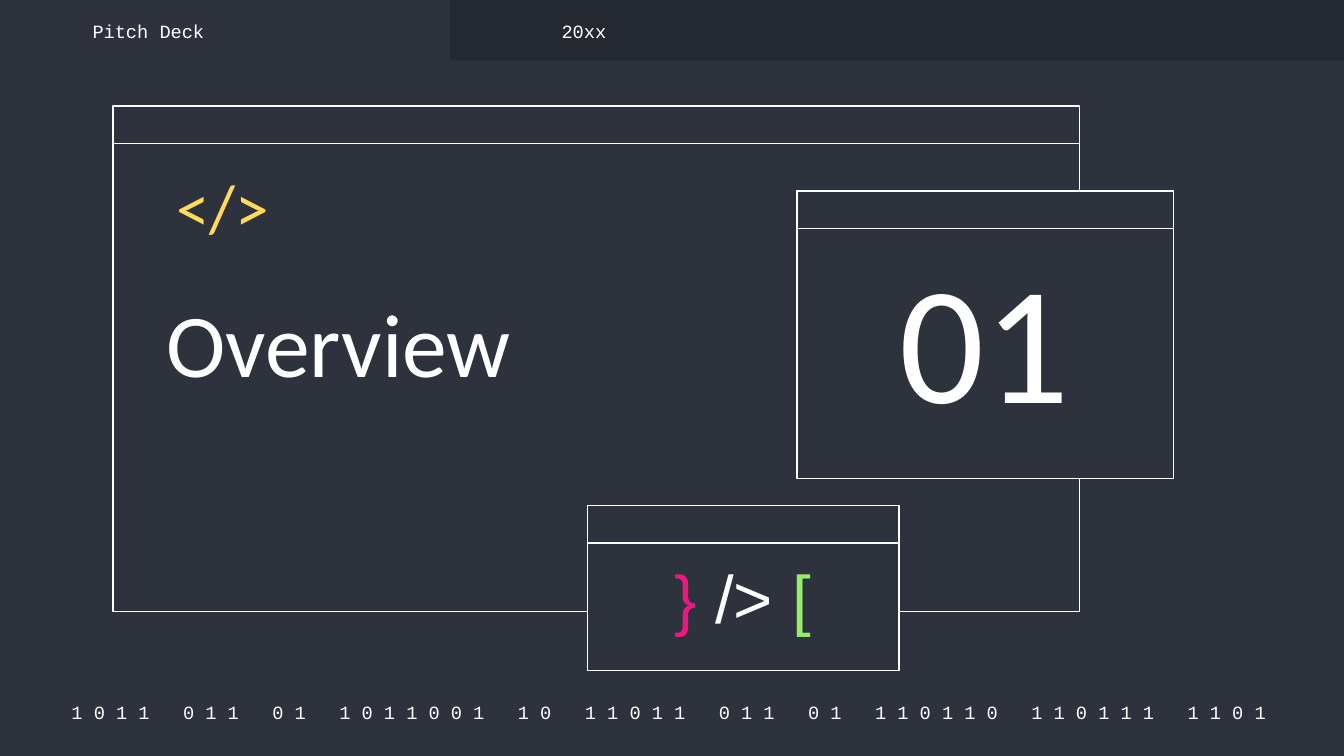
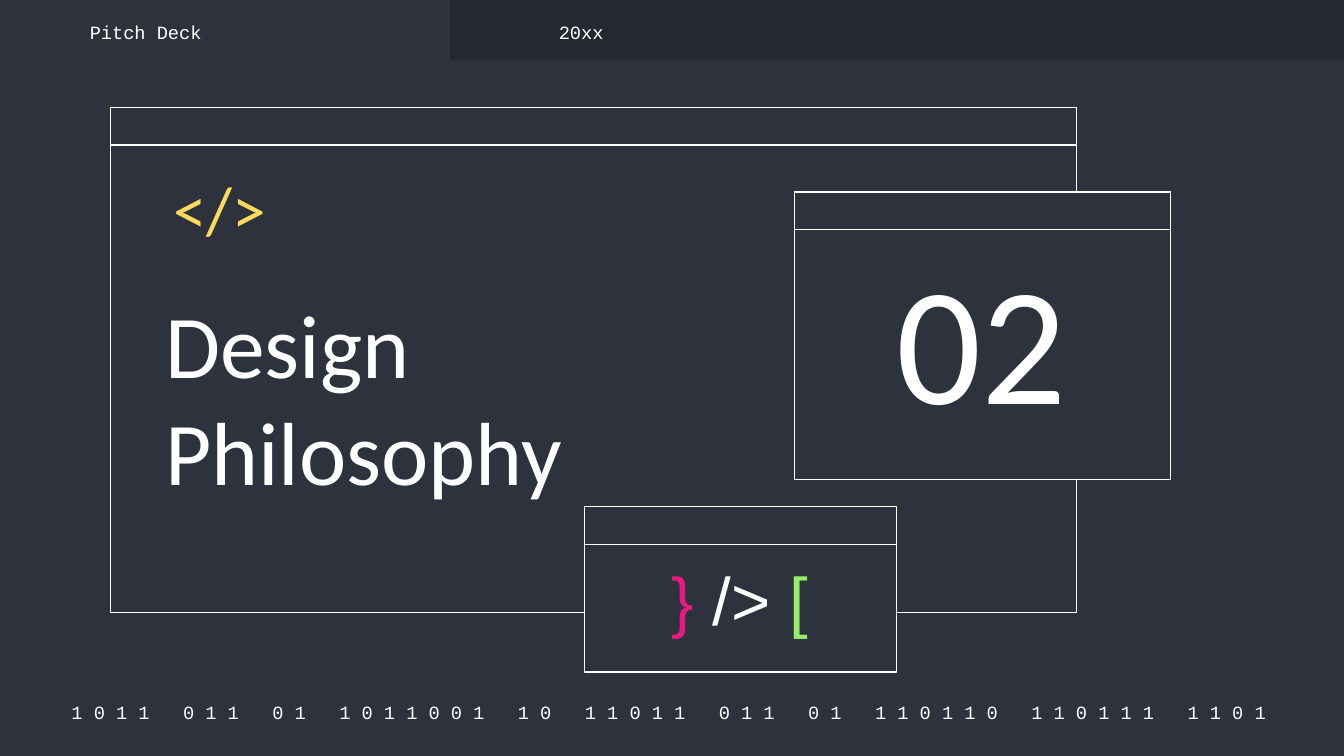
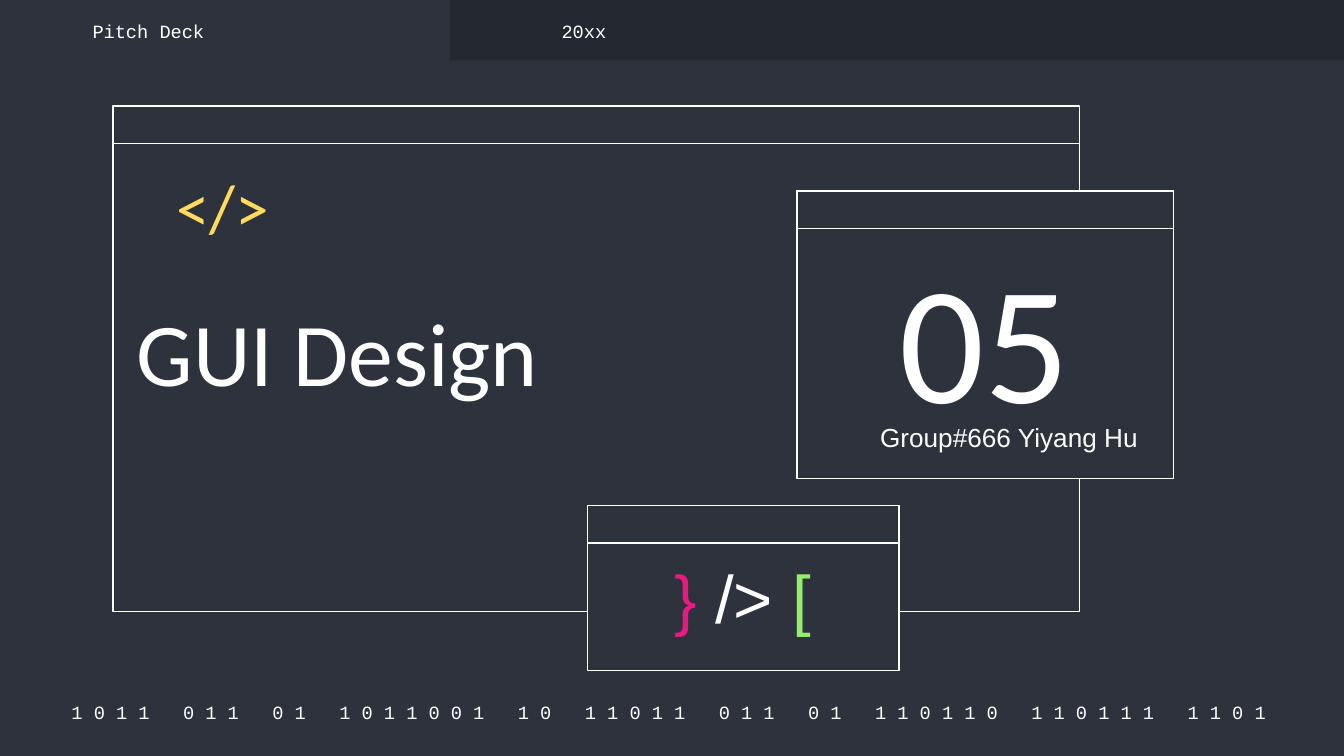
import pptx
import pptx.dml.color
import pptx.enum.shapes
import pptx.enum.text
import pptx.shapes.shapetree
import pptx.slide
import pptx.util
from dataclasses import dataclass

RGBColor = pptx.dml.color.RGBColor
ALIGN = pptx.enum.text.PP_ALIGN
ANCHOR = pptx.enum.text.MSO_ANCHOR

SLATE = RGBColor(0x2D, 0x32, 0x3C)
COAL = RGBColor(0x24, 0x28, 0x30)
WHITE = RGBColor(0xFF, 0xFF, 0xFF)
GOLD = RGBColor(0xFF, 0xDB, 0x5D)
PINK = RGBColor(0xE8, 0x19, 0x81)
LIME = RGBColor(0x94, 0xEE, 0x6B)

SANS = "Calibri"
PLAIN = "Arial"
MONO = "Courier New"

WIDE = pptx.util.Inches(10)
HIGH = pptx.util.Inches(5.625)
COL = WIDE / 100
ROW = HIGH / 56.25
PAD = round(COL)
BAR = 2.8

WORDS = "1011 011 01 1011001 10 11011 011 01 110110 110111 1101"
BITS = "   ".join(" ".join(word) for word in WORDS.split()) + " "


@dataclass(frozen=True)
class Box:
    col: float
    row: float
    cols: float
    rows: float

    def shift(self, cols: float, rows: float) -> "Box":
        return Box(self.col + cols, self.row + rows, self.cols, self.rows)

    def place(self) -> tuple[int, int, int, int]:
        return (round(self.col * COL), round(self.row * ROW),
                round(self.cols * COL), round(self.rows * ROW))


@dataclass(frozen=True)
class Part:
    title: str
    count: str
    area: Box
    nudge: tuple[float, float] = (0, 0)
    credit: str = ""


FRAMES = [Box(8.4, 7.9, 71.9, 37.6), Box(43.7, 37.6, 23.2, 12.3), Box(59.3, 14.2, 28, 21.4)]

PARTS = [
    Part("Overview", "01", Box(11.4, 20.4, 43.1, 9)),
    Part("Design Philosophy", "02", Box(11.5, 20.4, 44.6, 9), nudge=(-0.2, 0.1)),
    Part("GUI Design", "05", Box(9.2, 21.1, 56.1, 18.1), credit="Group#666 Yiyang Hu"),
]


def panel(shapes: pptx.shapes.shapetree.SlideShapes | pptx.shapes.shapetree.GroupShapes,
          box: Box, fill: RGBColor, line: RGBColor | None = None) -> None:
    shape = shapes.add_shape(pptx.enum.shapes.MSO_SHAPE.RECTANGLE, *box.place())
    shape.shadow.inherit = False
    shape.fill.solid()
    shape.fill.fore_color.rgb = fill
    if line is None:
        shape.line.fill.background()
    else:
        shape.line.color.rgb = line
        shape.line.width = pptx.util.Pt(0.75)


def window(slide: pptx.slide.Slide, box: Box) -> None:
    group = slide.shapes.add_group_shape()
    for rows in (box.rows, BAR):
        panel(group.shapes, Box(box.col, box.row, box.cols, rows), SLATE, WHITE)


def write(slide: pptx.slide.Slide, box: Box, text: str | list[tuple[str, RGBColor]], *,
          size: float = 10, font: str = MONO, color: RGBColor = WHITE,
          align: ALIGN = ALIGN.LEFT, anchor: ANCHOR = ANCHOR.MIDDLE,
          lead: float = 1.0) -> None:
    frame = slide.shapes.add_textbox(*box.place()).text_frame
    frame.word_wrap = True
    frame.vertical_anchor = anchor
    frame.margin_left = frame.margin_right = PAD
    frame.margin_top = frame.margin_bottom = PAD
    para = frame.paragraphs[0]
    para.alignment = align
    para.line_spacing = lead
    for piece, tint in [(text, color)] if isinstance(text, str) else text:
        run = para.add_run()
        run.text = piece
        run.font.name = font
        run.font.size = pptx.util.Pt(size)
        run.font.color.rgb = tint


def base(slide: pptx.slide.Slide) -> None:
    slide.background.fill.solid()
    slide.background.fill.fore_color.rgb = SLATE
    write(slide, Box(3.8, 52, 92.7, 2), BITS, align=ALIGN.CENTER)
    panel(slide.shapes, Box(33.5, 0, 66.5, 4.5), COAL)


def draw(slide: pptx.slide.Slide, part: Part) -> None:
    base(slide)
    for box in FRAMES:
        window(slide, box.shift(*part.nudge))

    def put(box: Box, text: str | list[tuple[str, RGBColor]], **form) -> None:
        write(slide, box.shift(*part.nudge), text, **form)

    put(part.area, part.title, size=48, font=SANS, anchor=ANCHOR.TOP)
    put(Box(61.1, 17, 24.3, 16.5), part.count, size=90, font=SANS,
        align=ALIGN.CENTER, anchor=ANCHOR.BOTTOM)
    put(Box(9.2, 12, 11.8, 6.2), "</>", size=36, font=SANS, color=GOLD,
        align=ALIGN.RIGHT, anchor=ANCHOR.TOP, lead=0.9)
    for col, label in ((5.9, "Pitch Deck"), (40.8, "20xx")):
        put(Box(col, 1.3, 21.9, 2), label)
    put(Box(48.6, 41.1, 13.3, 8.2), [("}", PINK), (" /> ", WHITE), ("[", LIME)],
        size=36, font=PLAIN, align=ALIGN.CENTER, anchor=ANCHOR.TOP, lead=0.9)
    if part.credit:
        put(Box(64.5, 29.6, 33.3, 5.8), part.credit, size=14, font=PLAIN)


def main() -> None:
    deck = pptx.Presentation()
    deck.slide_width = WIDE
    deck.slide_height = HIGH
    for part in PARTS:
        draw(deck.slides.add_slide(deck.slide_layouts[6]), part)
    deck.save("out.pptx")


if __name__ == "__main__":
    main()
